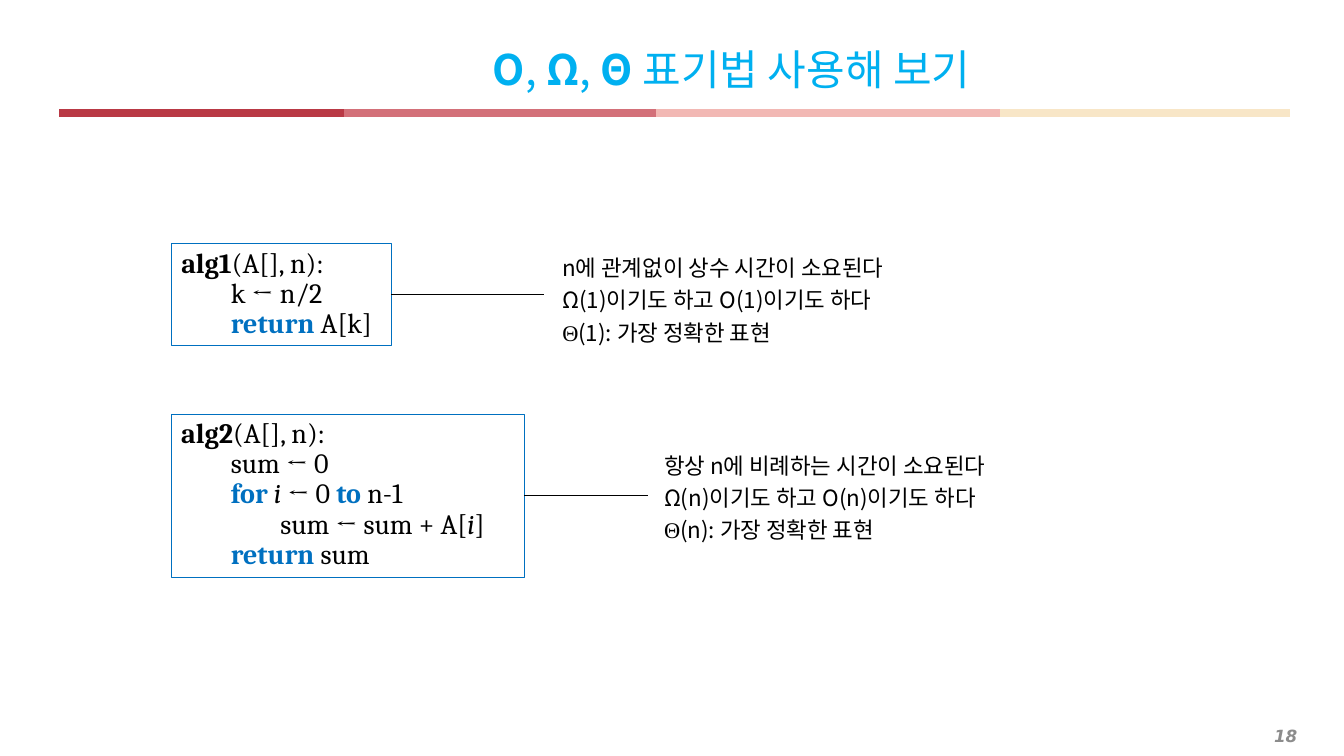
from pptx import Presentation
from pptx.dml.color import RGBColor
from pptx.enum.shapes import MSO_CONNECTOR, MSO_SHAPE
from pptx.enum.text import MSO_ANCHOR, PP_ALIGN
from pptx.oxml.ns import qn
from pptx.util import Pt
from lxml import etree

# Content: a run is (text, style); styles: "" plain, "b" bold, "i" italic,
# "k" bold blue keyword, "s" serif symbol
TITLE = [("Ο", "b"), (", ", ""), ("Ω", "b"), (", ", ""), ("Θ ", "b"),
         ("표기법 사용해 보기", "")]
PAGE_NUMBER = "18"

# Each code line is (indent level, runs)
ALGORITHMS = [
    {
        "box": (122.4, 174.24, 156.96, 72.72),
        "code": [
            (0, [("alg1", "b"), ("(A[], n):", "")]),
            (1, [("k ← n/2", "")]),
            (1, [("return", "k"), (" A[k]", "")]),
        ],
        "line_end": 388.8,
        "note_box": (394.56, 174.24, 272.88, 77.04),
        "note": [
            [("n에 관계없이 상수 시간이 소요된다", "")],
            [("Ω(1)이기도 하고 O(1)이기도 하다", "")],
            [("Θ", "s"), ("(1): 가장 정확한 표현", "")],
        ],
    },
    {
        "box": (122.4, 295.92, 252, 116.64),
        "code": [
            (0, [("alg2", "b"), ("(A[], n):", "")]),
            (1, [("sum ← 0", "")]),
            (1, [("for ", "k"), ("i", "i"), (" ← 0 ", ""), ("to", "k"),
                 (" n-1", "")]),
            (2, [("sum ← sum + A[", ""), ("i", "i"), ("]", "")]),
            (1, [("return", "k"), (" sum", "")]),
        ],
        "line_end": 462.96,
        "note_box": (467.28, 315.36, 275.76, 77.04),
        "note": [
            [("항상 n에 비례하는 시간이 소요된다", "")],
            [("Ω(n)이기도 하고 O(n)이기도 하다", "")],
            [("Θ", "s"), ("(n): 가장 정확한 표현", "")],
        ],
    },
]

# Header rule: start, end, colour (the dark band overlaps the next one)
RULE_Y = 80.64
RULE_BANDS = [(223.2, 468.72, "D37079"), (468.72, 714.24, "F2B8B4"),
              (714.24, 921.6, "F8E6C7"), (42.48, 245.52, "B93945")]

SANS, CODE_FONT, SYMBOL_FONT = "Noto Sans CJK KR", "Cambria", "Times New Roman"
BLACK, BLUE, TITLE_BLUE, GREY = "000000", "0070C0", "00B0F0", "8C8C8C"
TITLE_INDENT, CODE_INDENT = 302.4, 35.4


def color(value):
    return RGBColor.from_string(value)


def points(values):
    return [Pt(value) for value in values]


def format_run(run, font_name, size, hex_color, bold=False, italic=False):
    font = run.font
    font.name, font.size = font_name, Pt(size)
    font.bold, font.italic = bold, italic
    font.color.rgb = color(hex_color)
    east_asian = etree.SubElement(run._r.get_or_add_rPr(), qn("a:ea"))
    east_asian.set("typeface", font_name)


def fill_paragraph(paragraph, runs, font_name, size, hex_color, spacing,
                   indent=0):
    paragraph.alignment = PP_ALIGN.LEFT
    paragraph.line_spacing = spacing
    properties = paragraph._p.get_or_add_pPr()
    properties.set("marL", str(Pt(indent)))
    properties.set("indent", "0")
    for text, style in runs:
        run = paragraph.add_run()
        run.text = text
        format_run(run, SYMBOL_FONT if style == "s" else font_name, size,
                   BLUE if style == "k" else hex_color,
                   bold=style in ("b", "k"), italic=style == "i")


def fill_lines(text_frame, lines, font_name, size, spacing):
    text_frame.word_wrap = True
    text_frame.vertical_anchor = MSO_ANCHOR.TOP
    for index, (level, runs) in enumerate(lines):
        paragraph = (text_frame.add_paragraph() if index
                     else text_frame.paragraphs[0])
        fill_paragraph(paragraph, runs, font_name, size, BLACK, spacing,
                       level * CODE_INDENT)


def add_line(slide, left, right, y, hex_color, width):
    line = slide.shapes.add_connector(MSO_CONNECTOR.STRAIGHT,
                                      *points((left, y, right, y)))
    line.line.color.rgb = color(hex_color)
    line.line.width = Pt(width)
    etree.SubElement(line._element.spPr, qn("a:effectLst"))
    return line


def main():
    presentation = Presentation()
    presentation.slide_width, presentation.slide_height = Pt(960), Pt(540)
    slide = presentation.slides.add_slide(presentation.slide_layouts[5])

    # Header rule
    for left, right, hex_color in RULE_BANDS:
        add_line(slide, left, right, RULE_Y, hex_color, 6)

    # Title
    title = slide.shapes.title
    title.left, title.top, title.width, title.height = points(
        (42.48, 23.04, 876.24, 56.88))
    title.text_frame.vertical_anchor = MSO_ANCHOR.MIDDLE
    fill_paragraph(title.text_frame.paragraphs[0], TITLE, SANS, 30,
                   TITLE_BLUE, 0.9, TITLE_INDENT)

    # Page number
    number = slide.shapes.add_textbox(*points((14.4, 514.08, 919.44, 22.32)))
    number.text_frame.word_wrap = True
    number.text_frame.vertical_anchor = MSO_ANCHOR.MIDDLE
    paragraph = number.text_frame.paragraphs[0]
    paragraph.text = PAGE_NUMBER
    paragraph.alignment = PP_ALIGN.RIGHT
    format_run(paragraph.runs[0], "DejaVu Sans", 12, GREY, True, True)

    # Algorithms, each joined to its note
    for algorithm in ALGORITHMS:
        left, top, width, height = algorithm["box"]
        box = slide.shapes.add_shape(MSO_SHAPE.RECTANGLE,
                                     *points(algorithm["box"]))
        box.shadow.inherit = False
        box.fill.background()
        box.line.color.rgb = color(BLUE)
        box.line.width = Pt(0.75)
        fill_lines(box.text_frame, algorithm["code"], CODE_FONT, 20, 0.9)

        line = add_line(slide, left + width, algorithm["line_end"],
                        top + height / 2, BLACK, 0.75)
        line.begin_connect(box, 3)

        note = slide.shapes.add_textbox(*points(algorithm["note_box"]))
        fill_lines(note.text_frame, [(0, runs) for runs in algorithm["note"]],
                   SANS, 16, 1.2)

    presentation.save("out.pptx")


if __name__ == "__main__":
    main()
